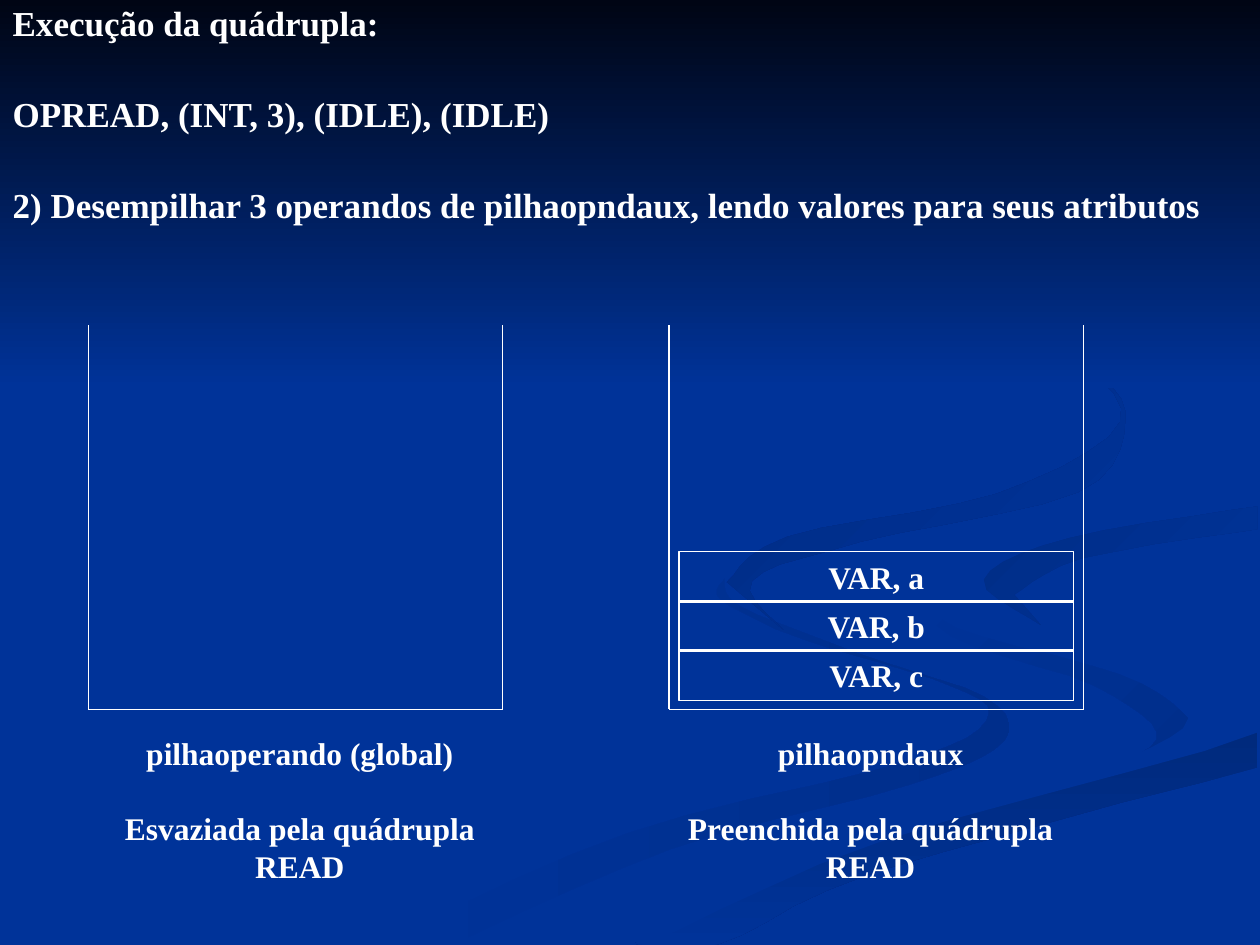
"""Build the slide that shows both operand stacks during OPREAD."""
from dataclasses import dataclass
from typing import Any

import pptx
import pptx.dml.color
import pptx.enum.shapes
import pptx.enum.text
import pptx.oxml.ns
import pptx.util
from lxml import etree

Point = tuple[float, float]

COLORS = {"ink": "FFFFFF", "blue": "003399", "night": "000514", "deep": "002A7D",
          "shade": "002B82", "dusk": "002D86", "haze": "002E8B"}
WIDTH, HEIGHT = pptx.util.Inches(10), pptx.util.Inches(7.5)
COLUMNS, ROWS = 1000, 750
CELL = WIDTH // COLUMNS
CURVE_STEPS = 5
STACK_TOP, STACK_BOTTOM, STACK_WIDTH = 258, 563, 329
OPERAND_LEFT, OPERAND_TOP, OPERAND_WIDTH = 539, 438, 313
OPERAND_HEIGHT, OPERAND_PITCH = 40, 39
FRAME = {"word_wrap": True, "auto_size": pptx.enum.text.MSO_AUTO_SIZE.NONE,
         "vertical_anchor": pptx.enum.text.MSO_ANCHOR.TOP,
         "margin_left": pptx.util.Inches(0.1), "margin_right": pptx.util.Inches(0.1),
         "margin_top": pptx.util.Inches(0.05), "margin_bottom": pptx.util.Inches(0.05)}
CENTERED = {"alignment": pptx.enum.text.PP_ALIGN.CENTER}
STEP_LINE = {"alignment": pptx.enum.text.PP_ALIGN.LEFT, "line_spacing": pptx.util.Pt(21)}


@dataclass(frozen=True)
class Ribbon:
    """A curved band: its colours, clockwise gradient angle and two edges in grid cells."""
    start: str
    end: str
    angle: int
    outer: list[Point]
    inner: list[Point]


@dataclass(frozen=True)
class Stack:
    """An open-topped stack with its caption."""
    left: int
    caption_left: int
    caption: list[str]


RIBBONS = [
    Ribbon("blue", "haze", 0,
           [(575, 459), (572, 476), (631, 505), (741, 539), (785, 566), (727, 602),
            (499, 661), (300, 749)],
           [(361, 749), (532, 674), (721, 623), (797, 588), (781, 553), (682, 519),
            (587, 481), (575, 459)]),
    Ribbon("blue", "haze", 45,
           [(724, 464), (755, 505), (868, 544), (918, 581), (894, 605)],
           [(932, 589), (943, 570), (888, 535), (758, 498), (724, 464)]),
    Ribbon("deep", "blue", 90,
           [(503, 749), (571, 749), (695, 692), (998, 609)],
           [(998, 581), (764, 647), (630, 693), (503, 749)]),
    Ribbon("blue", "blue", 0,
           [(999, 387), (830, 415), (732, 446), (734, 483), (889, 535), (943, 570),
            (869, 611), (663, 668), (477, 749)],
           [(519, 747), (696, 669), (999, 581), (999, 538), (832, 498), (781, 463),
            (850, 427), (999, 402)]),
    Ribbon("dusk", "blue", 45,
           [(998, 402), (849, 427), (781, 460), (826, 496)],
           [(805, 472), (859, 443), (998, 420)]),
    Ribbon("shade", "blue", 45,
           [(762, 233), (864, 291), (893, 335), (855, 391), (683, 430), (597, 461),
            (622, 500)],
           [(577, 462), (625, 426), (791, 392), (889, 335), (846, 279), (762, 233)]),
    Ribbon("night", "blue", 90, [(0, 0), (COLUMNS, 0)], [(COLUMNS, 308), (0, 308)]),
]
STEPS = ["Execução da quádrupla:", "OPREAD, (INT, 3), (IDLE), (IDLE)",
         "2) Desempilhar 3 operandos de pilhaopndaux, lendo valores para seus atributos"]
STACKS = [
    Stack(70, 78, ["pilhaoperando (global)", "Esvaziada pela quádrupla READ"]),
    Stack(531, 531, ["pilhaopndaux", "Preenchida pela quádrupla READ"]),
]
OPERANDS = ["VAR, a", "VAR, b", "VAR, c"]


def rgb(name: str) -> pptx.dml.color.RGBColor:
    """Look up a named colour."""
    return pptx.dml.color.RGBColor.from_string(COLORS[name])


def cells(*counts: int) -> list[int]:
    """Turn grid cells into lengths."""
    return [count * CELL for count in counts]


def apply(target: Any, values: dict[str, Any]) -> None:
    """Set each format value on the target."""
    for name, value in values.items():
        setattr(target, name, value)


def smooth_edge(knots: list[Point]) -> list[Point]:
    """Run a Catmull-Rom curve through the knots of one edge."""
    padded = [knots[0], *knots, knots[-1]]
    curve = []
    for before, start, end, after in zip(padded, padded[1:], padded[2:], padded[3:]):
        for step in range(CURVE_STEPS):
            t = step / CURVE_STEPS
            curve.append(tuple(
                b + ((c - a) * t + (2 * a - 5 * b + 4 * c - d) * t ** 2
                     + (3 * b - a - 3 * c + d) * t ** 3) / 2
                for a, b, c, d in zip(before, start, end, after)))
    return [*curve, knots[-1]]


def write(frame: Any, lines: list[str], size: int, gap: int, layout: dict[str, Any]) -> None:
    """Fill a text frame with bold lines separated by a gap in points."""
    apply(frame, FRAME)
    for index, line in enumerate(lines):
        paragraph = frame.paragraphs[0] if index == 0 else frame.add_paragraph()
        paragraph.text = line
        apply(paragraph, layout | {"space_before": pptx.util.Pt(gap if index else 0)})
        properties = paragraph._p.get_or_add_pPr()
        for name in ("marL", "indent"):
            properties.set(name, "0")
        etree.SubElement(properties, pptx.oxml.ns.qn("a:buNone"))
        font = paragraph.runs[0].font
        apply(font, {"name": "Times New Roman", "size": pptx.util.Pt(size), "bold": True})
        font.color.rgb = rgb("ink")


def draw_ribbon(shapes: Any, ribbon: Ribbon) -> None:
    """Draw one background ribbon."""
    outline = smooth_edge(ribbon.outer) + smooth_edge(ribbon.inner)
    builder = shapes.build_freeform(*outline[0], scale=CELL)
    builder.add_line_segments(outline[1:], close=True)
    shape = builder.convert_to_shape()
    shape.shadow.inherit = False
    shape.line.fill.background()
    shape.fill.gradient()
    shape.fill.gradient_angle = (360 - ribbon.angle) % 360
    for stop, name in zip(shape.fill.gradient_stops, (ribbon.start, ribbon.end)):
        stop.color.rgb = rgb(name)


def draw_stack(shapes: Any, stack: Stack) -> None:
    """Draw the three walls of a stack and its caption."""
    right = stack.left + STACK_WIDTH
    corners = [(stack.left, STACK_TOP), (stack.left, STACK_BOTTOM),
               (right, STACK_BOTTOM), (right, STACK_TOP)]
    for start, end in zip(corners, corners[1:]):
        wall = shapes.add_connector(pptx.enum.shapes.MSO_CONNECTOR.STRAIGHT, *cells(*start, *end))
        wall.line.color.rgb = rgb("ink")
        wall.line.width = pptx.util.Pt(0.75)
        etree.SubElement(wall.element.spPr, pptx.oxml.ns.qn("a:effectLst"))
    caption = shapes.add_textbox(*cells(stack.caption_left, 578, 320, 130))
    write(caption.text_frame, stack.caption, 18, 21, CENTERED)


def draw_operand(shapes: Any, level: int, label: str) -> None:
    """Draw one operand, counted from the top of the stack."""
    top = OPERAND_TOP + level * OPERAND_PITCH
    operand = shapes.add_shape(pptx.enum.shapes.MSO_SHAPE.RECTANGLE,
                               *cells(OPERAND_LEFT, top, OPERAND_WIDTH, OPERAND_HEIGHT))
    operand.shadow.inherit = False
    operand.fill.background()
    operand.line.color.rgb = rgb("ink")
    operand.line.width = pptx.util.Pt(0.75)
    write(operand.text_frame, [label], 18, 0, CENTERED)


def main() -> None:
    """Assemble and save the slide."""
    deck = pptx.Presentation()
    apply(deck, {"slide_width": WIDTH, "slide_height": HEIGHT})
    slide = deck.slides.add_slide(deck.slide_layouts.get_by_name("Title and Content"))
    slide.background.fill.solid()
    slide.background.fill.fore_color.rgb = rgb("blue")
    tree = slide.shapes.title.element.getparent()
    tree.remove(slide.shapes.title.element)
    for ribbon in RIBBONS:
        draw_ribbon(slide.shapes, ribbon)
    steps = slide.placeholders[1]
    apply(steps, dict(zip(("left", "top", "width", "height"), cells(0, 0, COLUMNS, ROWS))))
    tree.append(steps.element)
    write(steps.text_frame, STEPS, 20, 31, STEP_LINE)
    for stack in STACKS:
        draw_stack(slide.shapes, stack)
    for level, label in enumerate(OPERANDS):
        draw_operand(slide.shapes, level, label)
    deck.save("out.pptx")


if __name__ == "__main__":
    main()
